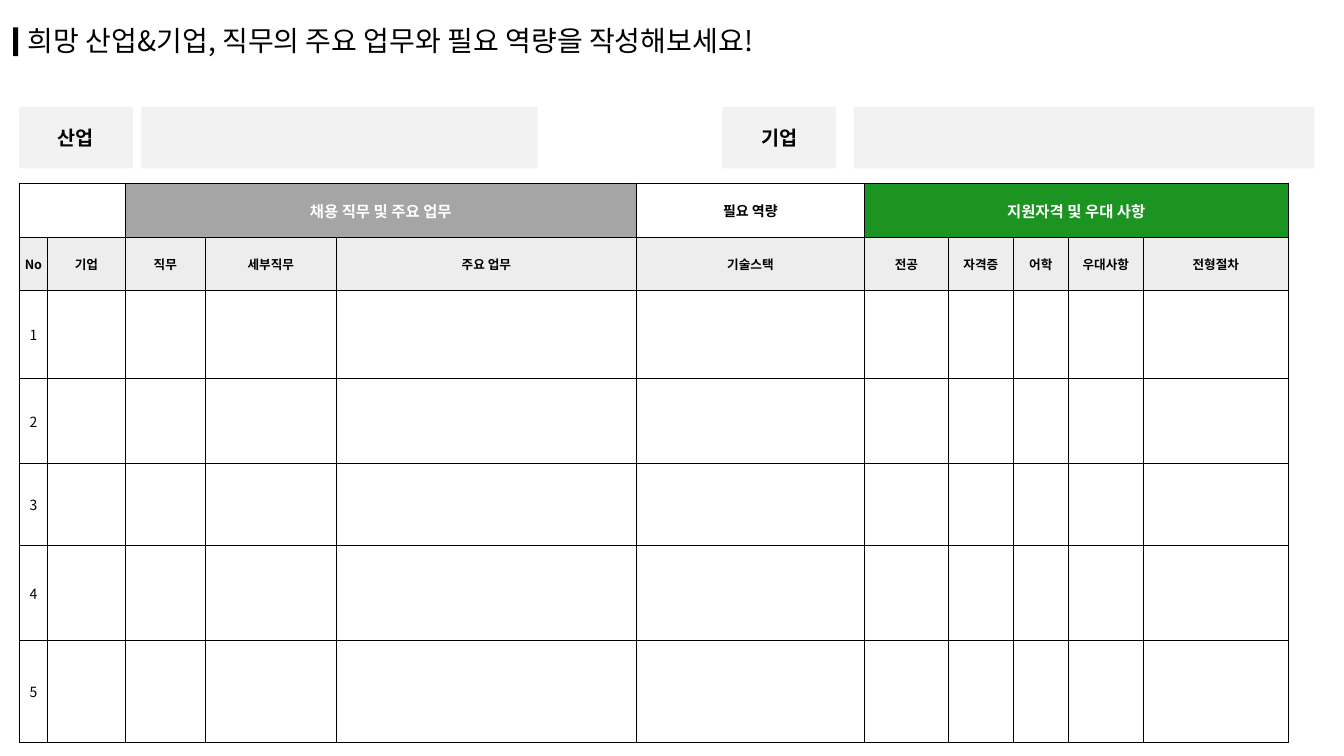
from lxml.etree import SubElement
from pptx import Presentation
from pptx.dml.color import RGBColor
from pptx.enum.shapes import MSO_SHAPE
from pptx.enum.text import MSO_ANCHOR, MSO_AUTO_SIZE, PP_ALIGN
from pptx.oxml.ns import qn
from pptx.util import Pt


def color(code):
    return RGBColor.from_string(code)


class Worksheet:
    FONT = "Noto Sans CJK KR"
    BLACK, WHITE = "000000", "FFFFFF"
    PANEL, HEADING, GRAY, GREEN = "F2F2F2", "EDEDED", "A5A5A5", "1C9422"

    def __init__(self, deck):
        self.slide = deck.slides.add_slide(deck.slide_layouts[5])

    def label(self, frame, text, size, ink=BLACK, bold=False, align=PP_ALIGN.CENTER):
        frame.text = text
        frame.vertical_anchor = MSO_ANCHOR.MIDDLE
        paragraph = frame.paragraphs[0]
        paragraph.alignment = align
        font = paragraph.font
        font.size, font.bold, font.name = Pt(size), bold, self.FONT
        font.color.rgb = color(ink)
        properties = paragraph._p.pPr.find(qn("a:defRPr"))
        SubElement(properties, qn("a:ea"), typeface=self.FONT)
        return paragraph

    def title(self, text, left, top, width, height):
        heading = self.slide.shapes.title
        heading.left, heading.top = Pt(left), Pt(top)
        heading.width, heading.height = Pt(width), Pt(height)
        frame = heading.text_frame
        frame.word_wrap = True
        frame.auto_size = MSO_AUTO_SIZE.NONE
        frame.margin_left = frame.margin_right = Pt(6.5)
        self.label(frame, text, 20, align=PP_ALIGN.LEFT).line_spacing = 0.9

    def block(self, left, top, width, height, fill=PANEL, text=None):
        shape = self.slide.shapes.add_shape(
            MSO_SHAPE.RECTANGLE, Pt(left), Pt(top), Pt(width), Pt(height))
        shape.shadow.inherit = False
        shape.fill.solid()
        shape.fill.fore_color.rgb = color(fill)
        shape.line.fill.background()
        if text:
            self.label(shape.text_frame, text, 14, bold=True)

    def table(self, left, top, widths, heights):
        grid = self.slide.shapes.add_table(
            len(heights), len(widths), Pt(left), Pt(top),
            Pt(sum(widths)), Pt(sum(heights))).table
        grid.first_row = grid.horz_banding = False
        for column, width in zip(grid.columns, widths):
            column.width = Pt(width)
        for row, height in zip(grid.rows, heights):
            row.height = Pt(height)
        for cell in grid.iter_cells():
            self.border(cell)
            self.paint(cell, self.WHITE)
        return grid

    def border(self, cell):
        properties = cell._tc.get_or_add_tcPr()
        for side in ("lnL", "lnR", "lnT", "lnB"):
            line = SubElement(properties, qn(f"a:{side}"), w=str(Pt(0.5)))
            fill = SubElement(line, qn("a:solidFill"))
            SubElement(fill, qn("a:srgbClr"), val=self.BLACK)

    def paint(self, cell, fill):
        cell.fill.solid()
        cell.fill.fore_color.rgb = color(fill)

    def cell(self, cell, text, size, fill=WHITE, ink=BLACK, bold=True):
        self.paint(cell, fill)
        cell.margin_left = cell.margin_right = cell.margin_top = Pt(0.7)
        cell.margin_bottom = 0
        self.label(cell.text_frame, text, size, ink, bold)
        cell.vertical_anchor = MSO_ANCHOR.MIDDLE


deck = Presentation()
deck.slide_width, deck.slide_height = Pt(960), Pt(540)
sheet = Worksheet(deck)

sheet.title("희망 산업&기업, 직무의 주요 업무와 필요 역량을 작성해보세요! ", 13.5, 8, 567, 44)
sheet.block(9.3, 19.6, 3.7, 20.6, Worksheet.BLACK)

for name, name_left, answer_left, answer_width in (
        ("산업", 13.7, 101, 283), ("기업", 516, 610, 329)):
    sheet.block(answer_left, 76.4, answer_width, 44)
    sheet.block(name_left, 76.4, 81.2, 44, text=name)

widths = [20, 55.7, 57.1, 93.6, 214.3, 162.9, 60, 46.4, 39.3, 53.6, 103.6]
heights = [38.6, 37.9, 62.9, 60.7, 58.6, 67.9, 72.9]
jobs = sheet.table(13.9, 130.7, widths, heights)

groups = [
    (0, 1, "", 10, Worksheet.WHITE, Worksheet.BLACK),
    (2, 4, "채용 직무 및 주요 업무", 11, Worksheet.GRAY, Worksheet.WHITE),
    (5, 5, "필요 역량", 10, Worksheet.WHITE, Worksheet.BLACK),
    (6, 10, "지원자격 및 우대 사항", 11, Worksheet.GREEN, Worksheet.WHITE),
]
for first, last, name, size, fill, ink in groups:
    if last > first:
        jobs.cell(0, first).merge(jobs.cell(0, last))
    if name:
        sheet.cell(jobs.cell(0, first), name, size, fill, ink)

headings = ["No", "기업", "직무", "세부직무", "주요 업무", "기술스택",
            "전공", "자격증", "어학", "우대사항", "전형절차"]
for column, heading in enumerate(headings):
    sheet.cell(jobs.cell(1, column), heading, 9, Worksheet.HEADING)

for number in range(1, 6):
    sheet.cell(jobs.cell(number + 1, 0), str(number), 10, bold=False)

deck.save("out.pptx")
